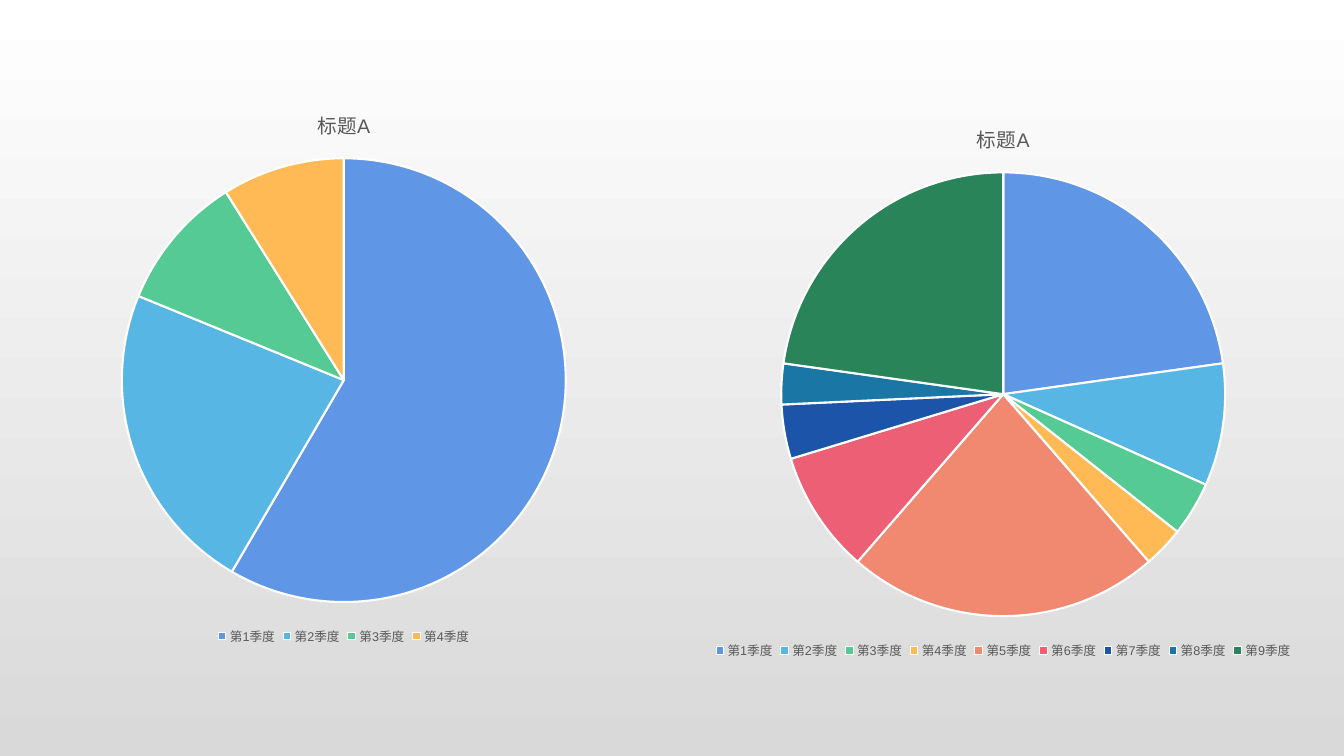
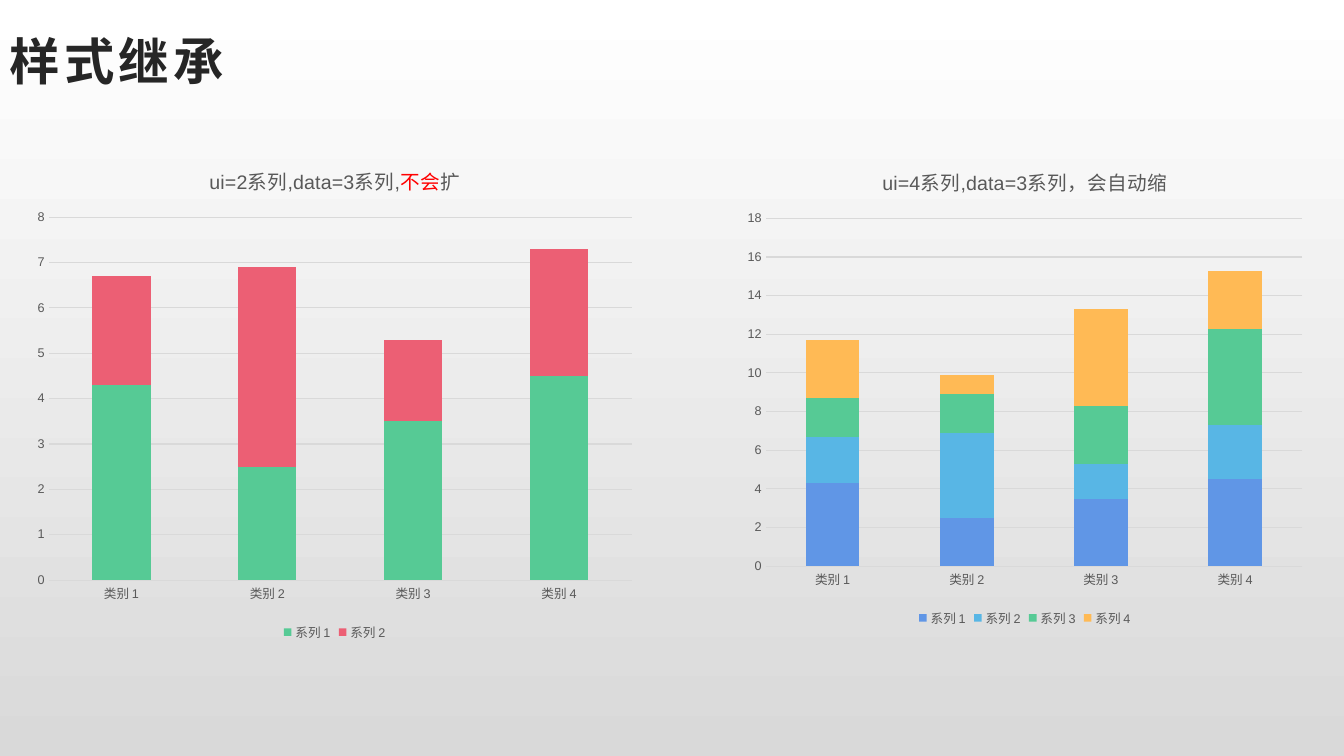
from pptx import Presentation
from pptx.chart.data import CategoryChartData
from pptx.dml.color import RGBColor
from pptx.enum.chart import XL_CHART_TYPE, XL_LEGEND_POSITION, XL_TICK_MARK
from pptx.enum.text import MSO_ANCHOR, PP_ALIGN
from pptx.util import Inches, Pt

PIE, STACK = XL_CHART_TYPE.PIE, XL_CHART_TYPE.COLUMN_STACKED
BOTTOM, NO_TICK = XL_LEGEND_POSITION.BOTTOM, XL_TICK_MARK.NONE
LOW, LEFT = MSO_ANCHOR.BOTTOM, PP_ALIGN.LEFT

FONT = "Arial"
WHITE = RGBColor(0xFF, 0xFF, 0xFF)
SILVER = RGBColor(0xD9, 0xD9, 0xD9)
GREY = RGBColor(0x59, 0x59, 0x59)
DARK = RGBColor(0x26, 0x26, 0x26)
RED = RGBColor(0xFF, 0x00, 0x00)
BLUE = RGBColor(0x60, 0x96, 0xE6)
SKY = RGBColor(0x58, 0xB6, 0xE5)
GREEN = RGBColor(0x56, 0xCA, 0x95)
AMBER = RGBColor(0xFF, 0xBA, 0x55)
CORAL = RGBColor(0xF1, 0x88, 0x70)
ROSE = RGBColor(0xEC, 0x5F, 0x74)
NAVY = RGBColor(0x1B, 0x54, 0xA9)
TEAL = RGBColor(0x1A, 0x76, 0xA5)
PINE = RGBColor(0x29, 0x84, 0x5A)
HUES = [BLUE, SKY, GREEN, AMBER, CORAL, ROSE, NAVY, TEAL, PINE]

# Content: titles are lists of (text, colour) runs, boxes are in inches
HEAD = "样式继承"
PIES = [
    ((0.25, 0.87, 6.32, 5.57), [59, 23, 10, 9]),
    ((6.79, 1.01, 6.32, 5.57), [23, 9, 4, 3, 23, 9, 4, 3, 23]),
]
ROWS = [
    (4.3, 2.5, 3.5, 4.5),
    (2.4, 4.4, 1.8, 2.8),
    (2, 2, 3, 5),
    (3, 1, 5, 3),
]
STACKS = [
    ((7.3, 1.45, 5.73, 4.81), HUES[:4],
     [("ui=4系列,data=3系列，会自动缩", GREY)]),
    ((0.25, 1.45, 6.14, 4.95), [GREEN, ROSE],
     [("ui=2系列,data=3系列,", GREY), ("不会", RED), ("扩", GREY)]),
]


def style(font, size, color=GREY, bold=False):
    font.name, font.size, font.bold = FONT, Pt(size), bold
    font.color.rgb = color


def paint(part, color):
    part.format.fill.solid()
    part.format.fill.fore_color.rgb = color


def rule(line):
    line.color.rgb = SILVER
    line.width = Pt(0.75)


def add_chart(slide, kind, box, title, cats, series):
    """Add a chart with the shared title and legend style."""
    data = CategoryChartData()
    data.categories = cats
    for name, vals in series:
        data.add_series(name, vals)
    place = [Inches(n) for n in box]
    chart = slide.shapes.add_chart(kind, *place, data).chart
    style(chart.font, 10)
    chart.has_title = True
    chart.chart_title.include_in_layout = False
    para = chart.chart_title.text_frame.paragraphs[0]
    style(para.font, 14)
    for text, color in title:
        run = para.add_run()
        run.text = text
        style(run.font, 14, color)
    chart.has_legend = True
    chart.legend.position = BOTTOM
    chart.legend.include_in_layout = False
    style(chart.legend.font, 9)
    return chart


def add_pie(slide, box, vals):
    cats = [f"第{n}季度" for n in range(1, len(vals) + 1)]
    name = "标题A"
    chart = add_chart(slide, PIE, box, [(name, GREY)], cats, [(name, vals)])
    chart.plots[0].vary_by_categories = True
    points = chart.plots[0].series[0].points
    for i, hue in enumerate(HUES[:len(vals)]):
        paint(points[i], hue)
        edge = points[i].format.line
        edge.color.rgb, edge.width = WHITE, Pt(1.5)


def add_stack(slide, box, hues, title):
    cats = [f"类别 {n}" for n in range(1, 5)]
    series = [(f"系列 {n}", ROWS[n - 1]) for n in range(1, len(hues) + 1)]
    chart = add_chart(slide, STACK, box, title, cats, series)
    plot = chart.plots[0]
    plot.vary_by_categories = False
    plot.gap_width, plot.overlap = 150, 100
    for bar, hue in zip(plot.series, hues):
        paint(bar, hue)
        bar.invert_if_negative = False
    for axis in (chart.category_axis, chart.value_axis):
        axis.major_tick_mark = axis.minor_tick_mark = NO_TICK
        style(axis.tick_labels.font, 9)
    rule(chart.category_axis.format.line)
    chart.value_axis.format.line.fill.background()
    rule(chart.value_axis.major_gridlines.format.line)


def add_head(slide, text):
    box = slide.shapes.add_textbox(0, 0, Inches(3.86), Inches(0.95))
    frame = box.text_frame
    frame.word_wrap = True
    frame.vertical_anchor = LOW
    para = frame.paragraphs[0]
    para.alignment = LEFT
    run = para.add_run()
    run.text = text
    style(run.font, 36, DARK, True)
    run.font._element.set("spc", "300")


def main():
    prs = Presentation()
    prs.slide_width, prs.slide_height = Inches(13.33), Inches(7.5)

    # Shared backdrop: white fading down to silver
    fill = prs.slide_master.background.fill
    fill.gradient()
    fill.gradient_angle = 270
    for stop, color in zip(fill.gradient_stops, (WHITE, SILVER)):
        stop.color.rgb = color

    blank = prs.slide_layouts[6]
    # Slide 1: pies
    slide = prs.slides.add_slide(blank)
    for item in PIES:
        add_pie(slide, *item)
    # Slide 2: stacked columns
    slide = prs.slides.add_slide(blank)
    for item in STACKS:
        add_stack(slide, *item)
    add_head(slide, HEAD)

    prs.save("out.pptx")


if __name__ == "__main__":
    main()
